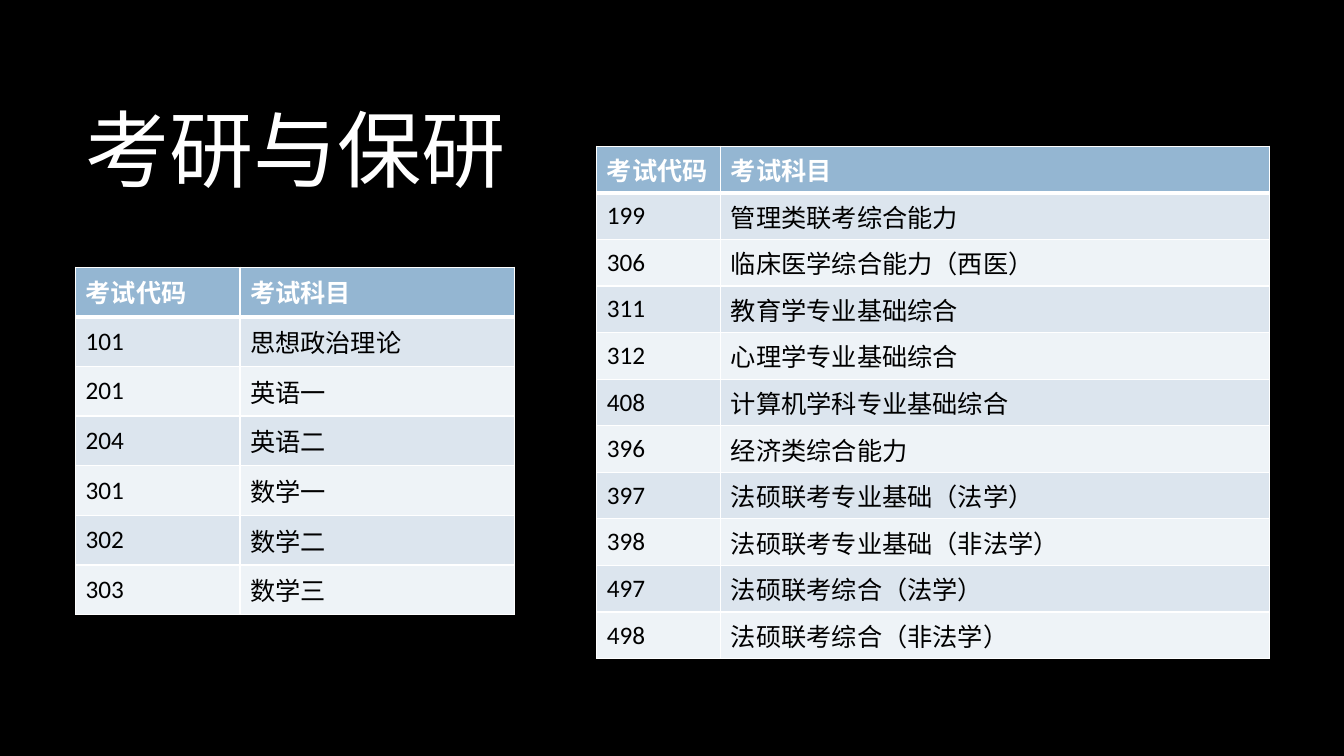
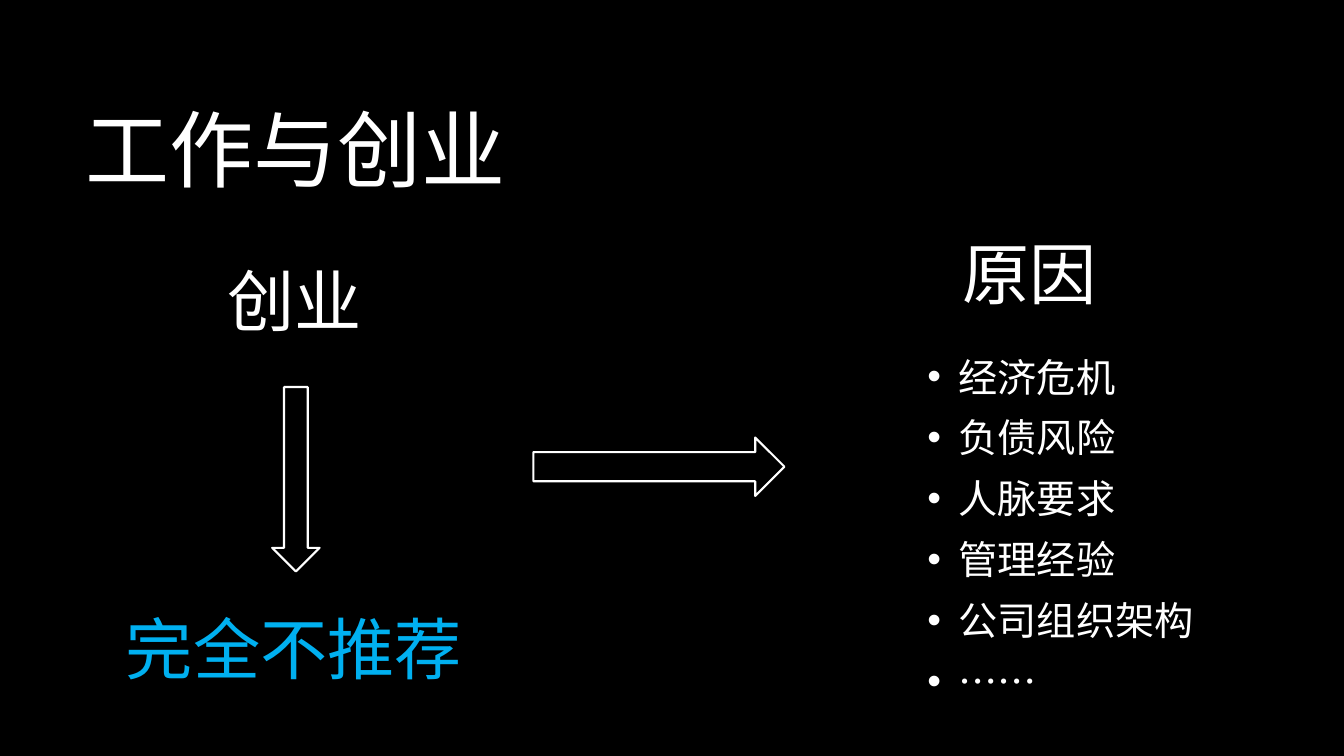
from dataclasses import dataclass

from lxml import etree
from pptx import Presentation
from pptx.dml.color import RGBColor
from pptx.enum.shapes import MSO_SHAPE as Preset
from pptx.enum.text import MSO_ANCHOR as Anchor, MSO_AUTO_SIZE as AutoSize, PP_ALIGN as Align
from pptx.oxml.ns import qn
from pptx.util import Inches, Pt


@dataclass(frozen=True)
class Theme:
    background: str = "000000"
    light: str = "FFFFFF"
    dark: str = "000000"
    accent: str = "00B0F0"
    header: str = "94B6D2"
    bands: tuple = ("DCE5EE", "EEF3F7")
    title_font: str = "Noto Sans CJK SC"
    text_font: str = "Calibri"
    title_size: int = 60
    heading_size: int = 48
    list_size: int = 28
    table_size: int = 18


@dataclass(frozen=True)
class Area:
    left: float
    top: float
    width: float
    height: float

    def lengths(self) -> tuple:
        return tuple(Inches(v) for v in (self.left, self.top, self.width, self.height))


@dataclass(frozen=True)
class ExamTable:
    area: Area
    code_width: float
    subjects: tuple


@dataclass(frozen=True)
class Heading:
    text: str
    area: Area
    color: str


@dataclass(frozen=True)
class Arrow:
    preset: Preset
    area: Area


THEME = Theme()
TITLE_ONLY = 5
TABLE_HEADER = ("考试代码", "考试科目")

EXAM_TABLES = (
    ExamTable(Area(5.92, 1.45, 6.67, 5.08), 1.23, (
        ("199", "管理类联考综合能力"),
        ("306", "临床医学综合能力（西医）"),
        ("311", "教育学专业基础综合"),
        ("312", "心理学专业基础综合"),
        ("408", "计算机学科专业基础综合"),
        ("396", "经济类综合能力"),
        ("397", "法硕联考专业基础（法学）"),
        ("398", "法硕联考专业基础（非法学）"),
        ("497", "法硕联考综合（法学）"),
        ("498", "法硕联考综合（非法学）"),
    )),
    ExamTable(Area(0.75, 2.65, 4.35, 3.45), 1.63, (
        ("101", "思想政治理论"),
        ("201", "英语一"),
        ("204", "英语二"),
        ("301", "数学一"),
        ("302", "数学二"),
        ("303", "数学三"),
    )),
)

HEADINGS = (
    Heading("创业", Area(2.16, 2.52, 1.55, 0.91), THEME.light),
    Heading("完全不推荐", Area(1.15, 5.98, 3.57, 0.91), THEME.accent),
    Heading("原因", Area(9.45, 2.26, 1.55, 0.91), THEME.light),
)
ARROWS = (
    Arrow(Preset.DOWN_ARROW, Area(2.7, 3.84, 0.47, 1.83)),
    Arrow(Preset.RIGHT_ARROW, Area(5.29, 4.34, 2.49, 0.58)),
)
REASONS = ("经济危机", "负债风险", "人脉要求", "管理经验", "公司组织架构", "……")


def format_text(frame, size: int, font: str, color: str, bold: bool = False) -> None:
    for para in frame.paragraphs:
        for span in para.runs:
            span.font.size = Pt(size)
            span.font.name = font
            span.font.bold = bold
            span.font.color.rgb = RGBColor.from_string(color)
            if font == THEME.title_font:
                east_asian = etree.SubElement(span.font._element, qn("a:ea"))
                east_asian.set("typeface", font)


def add_titled_page(deck, title: str, area: Area):
    page = deck.slides.add_slide(deck.slide_layouts[TITLE_ONLY])
    box = page.shapes.title
    box.left, box.top, box.width, box.height = area.lengths()
    frame = box.text_frame
    frame.text = title
    frame.auto_size = AutoSize.NONE
    frame.vertical_anchor = Anchor.MIDDLE
    frame.paragraphs[0].alignment = Align.LEFT
    format_text(frame, THEME.title_size, THEME.title_font, THEME.light)
    return page


def set_borders(cell, top: float, bottom: float) -> None:
    """Draw the four cell borders; they must precede the fill."""
    properties = cell._tc.get_or_add_tcPr()
    widths = (("L", 1), ("R", 1), ("T", top), ("B", bottom))
    for index, (side, width) in enumerate(widths):
        line = etree.Element(qn(f"a:ln{side}"), w=str(Pt(width)))
        fill = etree.SubElement(line, qn("a:solidFill"))
        etree.SubElement(fill, qn("a:srgbClr"), val=THEME.light)
        properties.insert(index, line)


def add_exam_table(page, exam: ExamTable) -> None:
    rows = (TABLE_HEADER, *exam.subjects)
    table = page.shapes.add_table(len(rows), len(TABLE_HEADER), *exam.area.lengths()).table
    table.columns[0].width = Inches(exam.code_width)
    table.columns[1].width = Inches(exam.area.width - exam.code_width)
    for index, texts in enumerate(rows):
        is_header = index == 0
        table.rows[index].height = Inches(exam.area.height / len(rows))
        fill = THEME.header if is_header else THEME.bands[(index - 1) % 2]
        color = THEME.light if is_header else THEME.dark
        for column, text in enumerate(texts):
            cell = table.cell(index, column)
            cell.text_frame.text = text
            cell.vertical_anchor = Anchor.MIDDLE
            cell.fill.solid()
            cell.fill.fore_color.rgb = RGBColor.from_string(fill)
            set_borders(cell, top=3 if index == 1 else 1, bottom=3 if is_header else 1)
            format_text(cell.text_frame, THEME.table_size, THEME.text_font, color, is_header)


def add_heading(page, heading: Heading) -> None:
    frame = page.shapes.add_textbox(*heading.area.lengths()).text_frame
    frame.text = heading.text
    frame.word_wrap = False
    frame.auto_size = AutoSize.SHAPE_TO_FIT_TEXT
    format_text(frame, THEME.heading_size, THEME.text_font, heading.color)


def add_arrow(page, arrow: Arrow) -> None:
    shape = page.shapes.add_shape(arrow.preset, *arrow.area.lengths())
    shape.shadow.inherit = False
    shape.fill.background()
    shape.line.color.rgb = RGBColor.from_string(THEME.light)
    shape.line.width = Pt(1.5)


def add_bullet_list(page, items: tuple, area: Area) -> None:
    frame = page.shapes.add_textbox(*area.lengths()).text_frame
    frame.text = "\n".join(items)
    frame.word_wrap = True
    frame.vertical_anchor = Anchor.MIDDLE
    for para in frame.paragraphs:
        para.line_spacing = Pt(33.5)
        para.space_after = Pt(10)
        properties = para._p.get_or_add_pPr()
        properties.set("marL", str(Inches(0.31)))
        properties.set("indent", str(Inches(-0.31)))
        bullet_color = etree.SubElement(properties, qn("a:buClr"))
        etree.SubElement(bullet_color, qn("a:srgbClr"), val=THEME.light)
        etree.SubElement(properties, qn("a:buFont"), typeface="Arial")
        etree.SubElement(properties, qn("a:buChar"), char="•")
    format_text(frame, THEME.list_size, THEME.title_font, THEME.light)


def main() -> None:
    deck = Presentation()
    deck.slide_width, deck.slide_height = Inches(13.33), Inches(7.5)
    background = deck.slide_master.background.fill
    background.solid()
    background.fore_color.rgb = RGBColor.from_string(THEME.background)

    # Postgraduate exams
    page = add_titled_page(deck, "考研与保研", Area(0.75, 0.67, 6.72, 1.59))
    for exam in EXAM_TABLES:
        add_exam_table(page, exam)

    # Work and start-ups
    page = add_titled_page(deck, "工作与创业", Area(0.75, 0.67, 11.08, 1.59))
    add_bullet_list(page, REASONS, Area(9.1, 2.99, 3.79, 4.51))
    for heading in HEADINGS:
        add_heading(page, heading)
    for arrow in ARROWS:
        add_arrow(page, arrow)

    deck.save("out.pptx")


if __name__ == "__main__":
    main()
